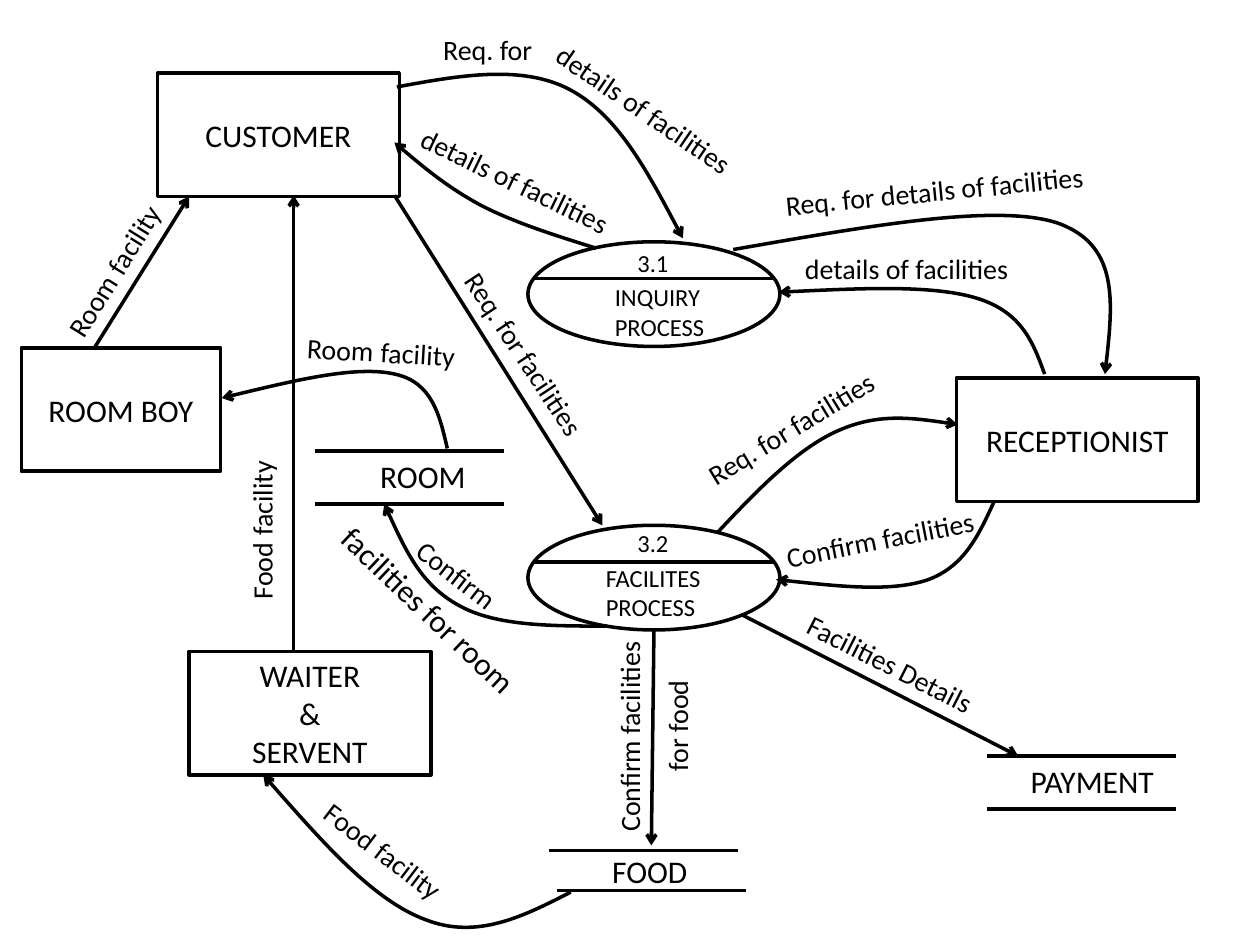
"""Builds a data flow diagram of customer inquiries and hotel facilities."""
from lxml import etree
from pptx import Presentation
from pptx.dml.color import RGBColor
from pptx.enum.shapes import MSO_CONNECTOR, MSO_SHAPE
from pptx.enum.text import MSO_ANCHOR, MSO_AUTO_SIZE, PP_ALIGN
from pptx.oxml.ns import qn
from pptx.util import Pt

RECT, OVAL, STRAIGHT = MSO_SHAPE.RECTANGLE, MSO_SHAPE.OVAL, MSO_CONNECTOR.STRAIGHT
CENTER, LEFT = PP_ALIGN.CENTER, PP_ALIGN.LEFT
MIDDLE, TOP = MSO_ANCHOR.MIDDLE, MSO_ANCHOR.TOP
GROW = MSO_AUTO_SIZE.SHAPE_TO_FIT_TEXT
BLACK, WHITE, FONT = "000000", "FFFFFF", "Calibri"

PROCESS_X, PROCESS_W, PROCESS_H = 301.7, 144, 59.8
BOX_H, STORE_W, STORE_TEXT_H = 70.6, 108, 28.8

PROCESSES = [
    (138.2, "3.1", 138.2, ["INQUIRY", "PROCESS"], (344.2, 157.7, 66.2, 41)),
    (300.2, "3.2", 298.1, ["FACILITES", "PROCESS"], (339.1, 318.2, 69.1, 41)),
]
ENTITIES = [
    (108, 372.2, 138.2, ["WAITER", "&", "SERVENT"]),
    (12.2, 198.7, 113.8, ["ROOM BOY"]),
    (90, 41.8, 138.2, ["CUSTOMER"]),
    (546.5, 216, 138.2, ["RECEPTIONIST"]),
]
STORES = [
    ("PAYMENT", (563.8, 432), (563.8, 462.2), (581.8, 432, 85.7)),
    ("FOOD", (313.9, 486), (318.2, 509), (342.7, 483.1, 57.6)),
    ("ROOM", (180, 257.8), (180, 288), (210.2, 257.8, 63.4)),
]
STRAIGHT_FLOWS = [
    ((373.7, 360), (372.2, 483.1)),
    ((424.1, 351.4), (581.8, 432)),
    ((54, 198.7), (108, 112.3)),
    ((167.8, 372.2), (167.8, 111.6)),
    ((225.4, 111.6), (344.2, 300.2)),
]
CURVED_FLOWS = [
    [(409.7, 304.6), (432.7, 280.1), (455.8, 256.3), (478.8, 246.2),
     (501.1, 236.2), (524.2, 239), (547.2, 242.6)],
    [(568.1, 286.6), (559.4, 305.3), (551.5, 323.3), (530.6, 331.2),
     (509.8, 338.4), (476.6, 334.8), (443.5, 331.2)],
    [(596.9, 213.8), (590.4, 195.8), (583.9, 178.6), (558.7, 170.6),
     (533.5, 162.7), (488.9, 164.9), (445, 167)],
    [(419, 142.6), (493.9, 129.6), (568.8, 115.9), (604.1, 127.4),
     (639.4, 139.7), (635.8, 176.4), (631.4, 213.8)],
    [(226.8, 49.7), (262.1, 43.2), (298.1, 36.7), (325.4, 51.1),
     (352.8, 65.5), (371.5, 100.8), (390.2, 136.1)],
    [(340.6, 141.8), (317.5, 134.6), (294.5, 127.4), (275, 117.4),
     (256.3, 107.3), (240.5, 94.3), (225.4, 81.4)],
    [(347, 357.8), (315.4, 357.8), (283.7, 357.8), (262.8, 346.3),
     (241.2, 334.8), (230.4, 311.8), (219.6, 288)],
    [(255.6, 256.3), (251.3, 237.6), (247, 218.2), (225.4, 213.8),
     (203.8, 208.8), (164.9, 218.2), (126.7, 227.5)],
    [(326.2, 509.8), (299.5, 523.4), (272.9, 537.1), (243.4, 525.6),
     (213.8, 514.8), (182.2, 478.8), (150.5, 442.8)],
]
ROOM_FACILITY = [("Room", 16), (" ", 18), ("facility", 16)]
FOOD_FACILITY = [("Food", 16), (" ", 18), ("facility", 16)]
FLOW_LABELS = [
    ("Req. for", (246.2, 15.1, 66.2, 26.6), 0, False),
    ("details of facilities", (301, 54.7, 149.8, 26.6), 34.4, True),
    ("Req. for details of facilities", (441.4, 92.9, 241.9, 26.6), 354.4, True),
    ("details of facilities", (228.2, 94.3, 149.8, 26.6), 25.7, True),
    ("details of facilities", (452.9, 140.4, 149.8, 26.6), 0, True),
    ("Req. for facilities", (236.2, 193.7, 133.2, 26.6), 56.4, True),
    ("Confirm facilities", (441.4, 293.8, 133.2, 26.6), 348.9, True),
    ("Req. for facilities", (390.2, 228.2, 133.2, 26.6), 328.7, True),
    ("Facilities Details", (450, 366.5, 118.8, 26.6), 26.9, False),
    ("Confirm", (227.5, 316.1, 69.8, 26.6), 37.8, True),
    ("Confirm facilities", (293, 402.5, 133.2, 26.6), 270, True),
    ([("facilities for room", 18)], (173.5, 334.8, 144, 28.8), 43.6, False),
    (ROOM_FACILITY, (14.4, 139, 100.8, 28.8), 301.9, False),
    (FOOD_FACILITY, (101.5, 288, 94.3, 28.8), 270, False),
    ("for food", (353.5, 401, 67, 26.6), 270, False),
    (FOOD_FACILITY, (172.8, 471.6, 94.3, 28.8), 37.4, False),
    (ROOM_FACILITY, (168.5, 185.8, 100.8, 28.8), 3.3, False),
]


def rgb(value):
    return RGBColor.from_string(value)


def style_line(sp, arrow=False):
    sp.line.color.rgb = rgb(BLACK)
    sp.line.width = Pt(2)
    if arrow:
        etree.SubElement(sp.line._get_or_add_ln(), qn("a:tailEnd"), type="arrow")


def write(sp, paragraphs, align=LEFT, **frame):
    tf = sp.text_frame
    for name, value in frame.items():
        setattr(tf, name, value)
    for i, runs in enumerate(paragraphs):
        p = tf.add_paragraph() if i else tf.paragraphs[0]
        p.alignment = align
        for text, size in runs:
            r = p.add_run()
            r.text = text
            r.font.name, r.font.size = FONT, Pt(size)
            r.font.color.rgb = rgb(BLACK)


def add_label(paragraphs, box, angle=0, wrap=False):
    sp = s.shapes.add_textbox(*map(Pt, box))
    sp.rotation = angle
    write(sp, paragraphs, word_wrap=wrap, auto_size=GROW, vertical_anchor=TOP)


def add_node(kind, *box):
    sp = s.shapes.add_shape(kind, *map(Pt, box))
    sp.shadow.inherit = False
    sp.fill.solid()
    sp.fill.fore_color.rgb = rgb(WHITE)
    style_line(sp)
    return sp


def add_line(start, end, arrow=False):
    sp = s.shapes.add_connector(STRAIGHT, *map(Pt, start + end))
    style_line(sp, arrow)
    etree.SubElement(sp._element.spPr, qn("a:effectLst"))


def bezier(a, b, c, d, t):
    u = 1 - t
    return tuple(Pt(u**3 * w + 3 * u * u * t * x + 3 * u * t * t * y + t**3 * z)
                 for w, x, y, z in zip(a, b, c, d))


def add_curve(points):
    pieces = [points[i:i + 4] for i in range(0, len(points) - 1, 3)]
    samples = [bezier(*piece, n / 20) for piece in pieces for n in range(1, 21)]
    builder = s.shapes.build_freeform(*map(Pt, points[0]))
    builder.add_line_segments(samples, close=False)
    sp = builder.convert_to_shape()
    outline = next(sp._element.iter(qn("a:path")))
    for segment in outline.findall(qn("a:lnTo")):
        outline.remove(segment)
    for piece in pieces:
        cubic = etree.SubElement(outline, qn("a:cubicBezTo"))
        for x, y in piece[1:]:
            etree.SubElement(cubic, qn("a:pt"),
                             x=str(Pt(x) - sp.left), y=str(Pt(y) - sp.top))
    sp.shadow.inherit = False
    sp.fill.background()
    style_line(sp, True)


prs = Presentation()
prs.slide_width, prs.slide_height = Pt(720), Pt(540)
s = prs.slides.add_slide(prs.slide_layouts[6])

for y, number, number_y, name, name_box in PROCESSES:
    add_node(OVAL, PROCESS_X, y, PROCESS_W, PROCESS_H)
    add_line((304.6, y + 20.9), (442.8, y + 20.9))
    add_label([[(number, 14)]], (357.1, number_y, 32.4, 24.5))
    add_label([[(text, 14)] for text in name], name_box)
for x, y, w, name in ENTITIES:
    write(add_node(RECT, x, y, w, BOX_H), [[(text, 18)] for text in name],
          CENTER, word_wrap=True, vertical_anchor=MIDDLE)
for name, upper, lower, name_box in STORES:
    for x, y in (upper, lower):
        add_line((x, y), (x + STORE_W, y))
    add_label([[(name, 18)]], name_box + (STORE_TEXT_H,))
for start, end in STRAIGHT_FLOWS:
    add_line(start, end, True)
for points in CURVED_FLOWS:
    add_curve(points)
for text, box, angle, wrap in FLOW_LABELS:
    runs = [(text, 16)] if isinstance(text, str) else text
    add_label([runs], box, angle, wrap)

prs.save("out.pptx")
